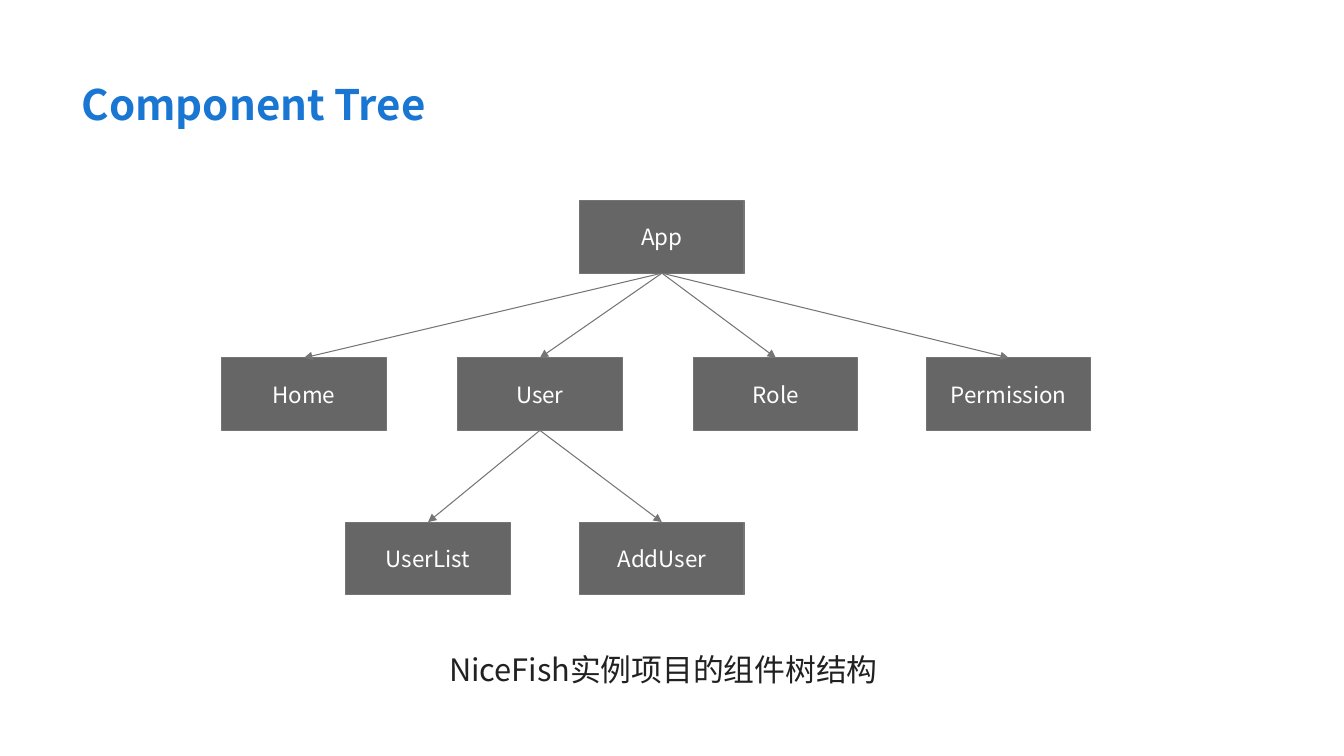
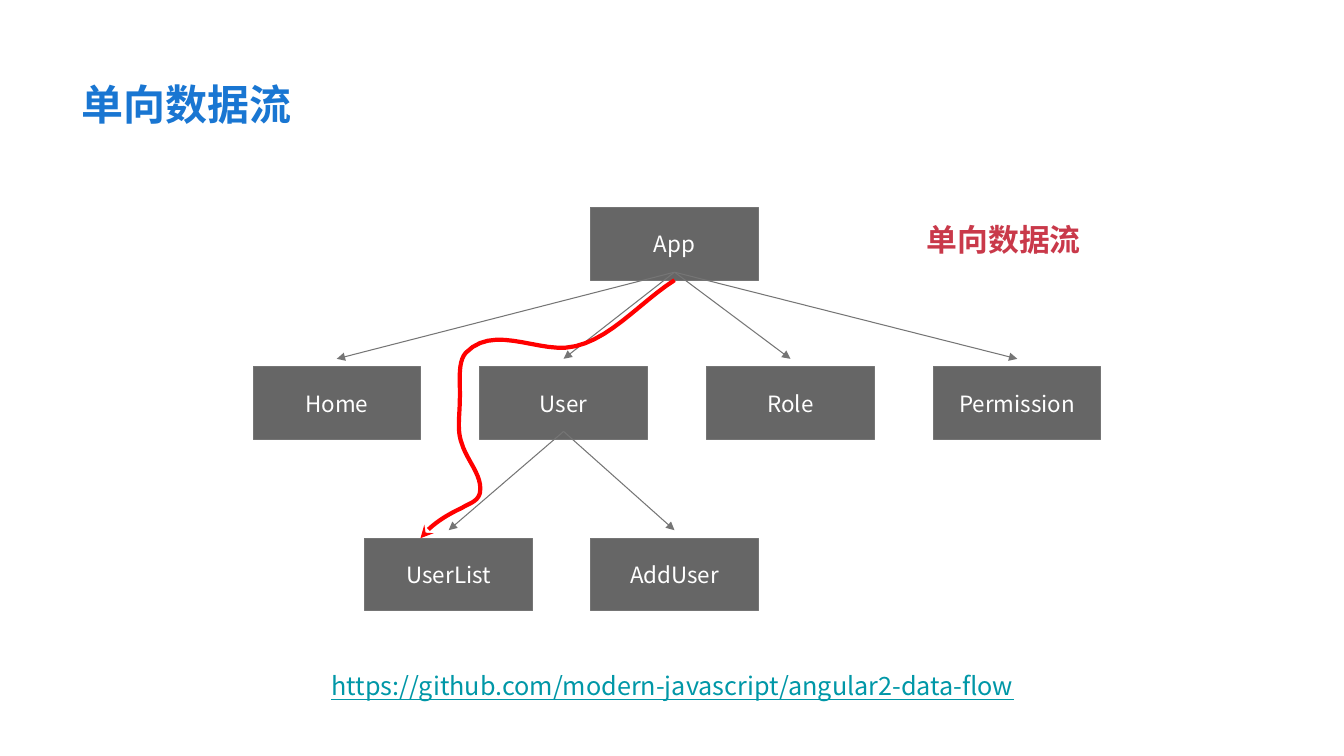
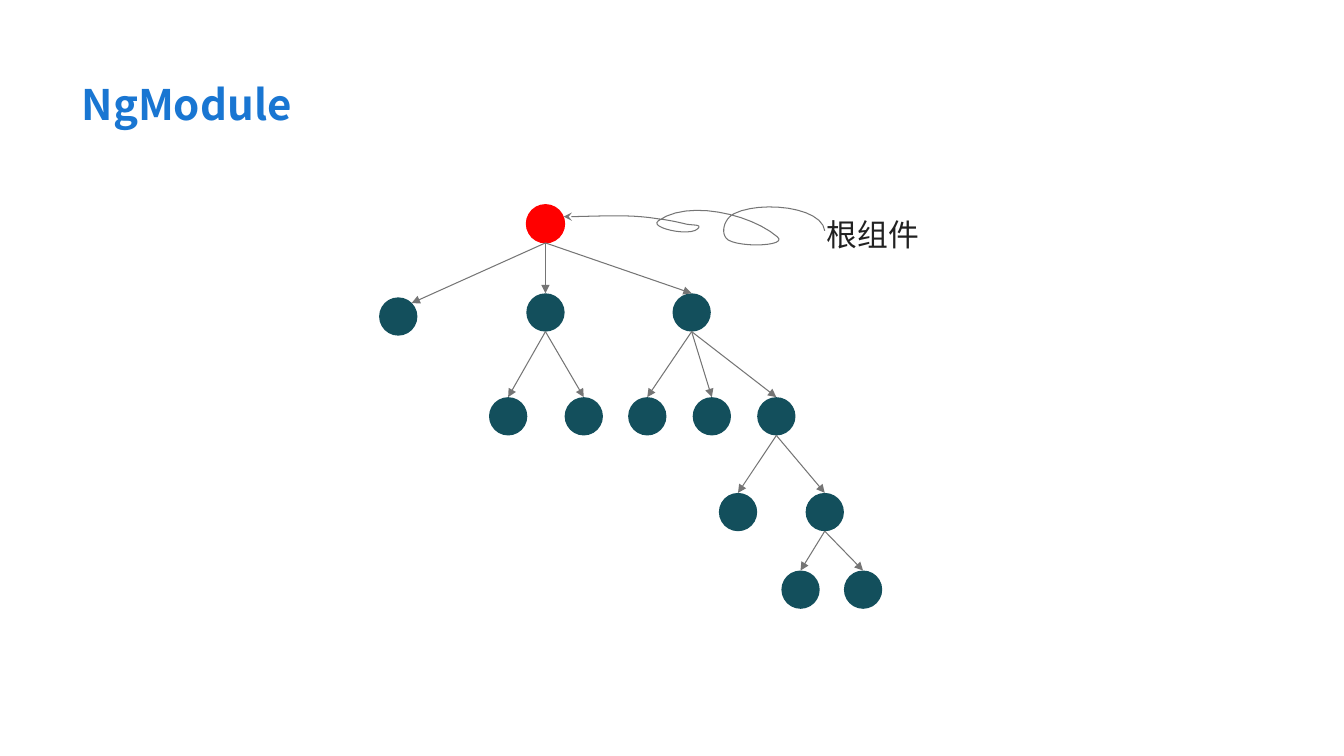
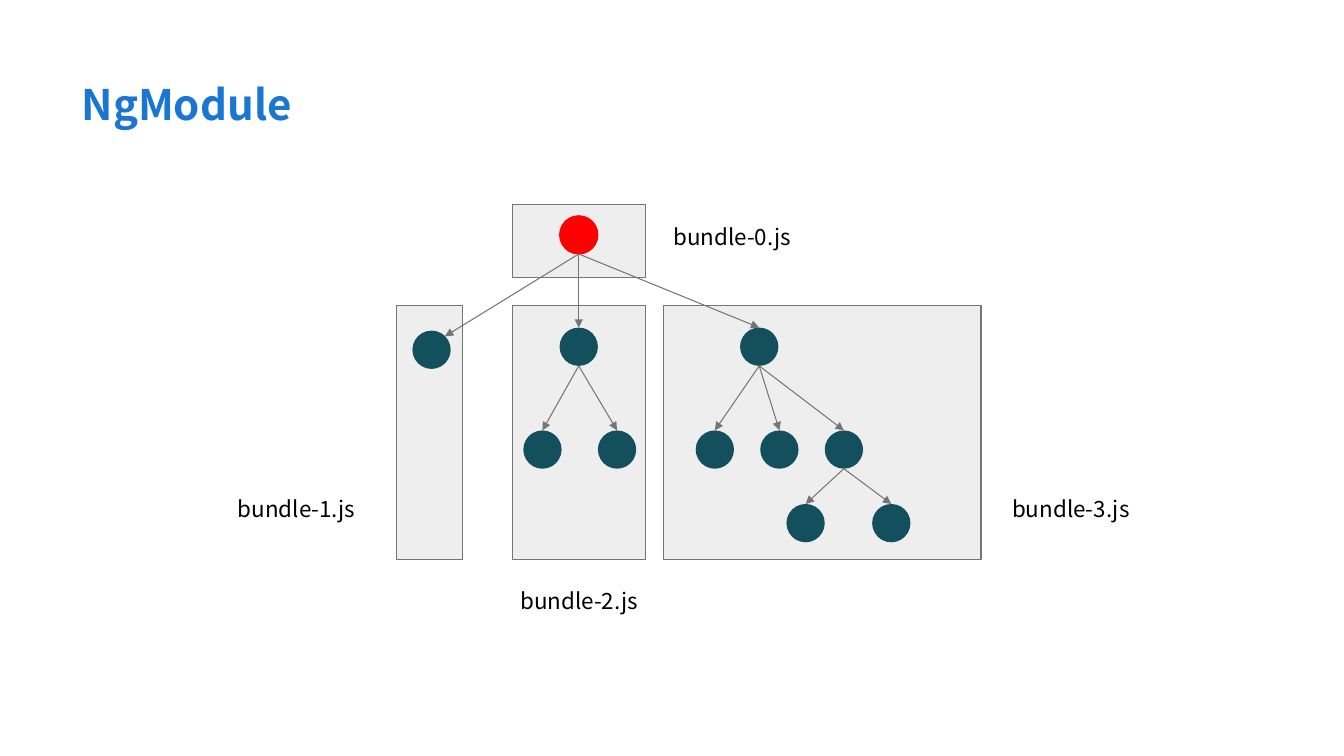
import lxml.etree
import pptx
import pptx.dml.color
import pptx.enum.shapes
import pptx.enum.text
import pptx.oxml.ns
import pptx.util

Inches = pptx.util.Inches
Pt = pptx.util.Pt
RGBColor = pptx.dml.color.RGBColor
SHAPE = pptx.enum.shapes.MSO_SHAPE
LINK = pptx.enum.shapes.MSO_CONNECTOR.STRAIGHT
ALIGN = pptx.enum.text.PP_ALIGN
ANCHOR = pptx.enum.text.MSO_ANCHOR
qn = pptx.oxml.ns.qn

FONT = "Noto Sans CJK SC"
WHITE = RGBColor(0xFF, 0xFF, 0xFF)
BLACK = RGBColor(0x00, 0x00, 0x00)
INK = RGBColor(0x21, 0x21, 0x21)
BLUE = RGBColor(0x19, 0x76, 0xD2)
GRAY = RGBColor(0x75, 0x75, 0x75)
DARK = RGBColor(0x66, 0x66, 0x66)
PALE = RGBColor(0xEE, 0xEE, 0xEE)
RED = RGBColor(0xFF, 0x00, 0x00)
ROSE = RGBColor(0xC9, 0x39, 0x4A)
TEAL = RGBColor(0x13, 0x4F, 0x5C)
CYAN = RGBColor(0x00, 0x97, 0xA7)

# Text formats: run font values
HEAD = {"size": Pt(30), "bold": True, "color": BLUE}
NODE = {"size": Pt(16), "color": WHITE}
NOTE = {"size": Pt(22), "color": INK}
FLOW = {"size": Pt(22), "bold": True, "color": ROSE}
URL = {"size": Pt(18), "underline": True, "color": CYAN}
FILE = {"size": Pt(16), "color": BLACK}

TITLE_BOX = (0.68, 0.15, 11.8, 1.26)
PAD = 0.13
HIGH = 0.72
DOT = 0.38
STEPS = 12

# Component trees: child -> parent, and left edges per row
PARENT = {"Home": "App", "User": "App", "Role": "App", "Permission": "App",
          "UserList": "User", "AddUser": "User"}
TREE = {
    1.99: {"App": 5.75},
    3.55: {"Home": 2.2, "User": 4.54, "Role": 6.88, "Permission": 9.19},
    5.18: {"UserList": 3.43, "AddUser": 5.75},
}
EVEN = {
    2.06: {"App": 5.86},
    3.64: {name: 2.51 + 2.25 * i for i, name in
           enumerate(("Home", "User", "Role", "Permission"))},
    5.34: {"UserList": 3.62, "AddUser": 5.86},
}

# Dots: centre x, top, index of the parent dot; the first is the root
DOTS = [
    (5.41, 2.03, None),
    (3.95, 2.95, 0), (5.41, 2.91, 0), (6.86, 2.91, 0),
    (5.04, 3.94, 2), (5.79, 3.94, 2),
    (6.42, 3.94, 3), (7.06, 3.94, 3), (7.7, 3.94, 3),
    (7.32, 4.89, 8), (8.18, 4.89, 8),
    (7.94, 5.66, 10), (8.56, 5.66, 10),
]
PACKED = [
    (5.74, 2.14, None),
    (4.28, 3.28, 0), (5.74, 3.25, 0), (7.53, 3.25, 0),
    (5.38, 4.27, 2), (6.12, 4.27, 2),
    (7.09, 4.27, 3), (7.73, 4.27, 3), (8.37, 4.27, 3),
    (7.99, 5, 8), (8.84, 5, 8),
]

# Curves: start, then two control points and an end for each piece
FALL = [
    (6.69, 2.78),
    (6.33, 3.01), (6.01, 3.42), (5.61, 3.45),
    (5.28, 3.47), (4.88, 3.23), (4.62, 3.5),
    (4.53, 3.6), (4.57, 3.82), (4.56, 3.98),
    (4.56, 4.12), (4.53, 4.27), (4.58, 4.4),
    (4.63, 4.57), (4.79, 4.72), (4.76, 4.89),
    (4.74, 4.98), (4.64, 5), (4.58, 5.04),
    (4.43, 5.11), (4.28, 5.2), (4.17, 5.34),
]
LOOP = [
    (8.18, 2.29),
    (8.15, 2.05), (7.54, 1.99), (7.28, 2.12),
    (7.18, 2.17), (7.14, 2.32), (7.22, 2.38),
    (7.35, 2.46), (7.82, 2.44), (7.71, 2.35),
    (7.44, 2.12), (6.82, 1.98), (6.53, 2.19),
    (6.43, 2.26), (6.84, 2.35), (6.92, 2.27),
    (6.97, 2.22), (6.86, 2.24), (6.79, 2.22),
    (6.71, 2.2), (6.61, 2.18), (6.52, 2.17),
    (6.22, 2.12), (5.9, 2.15), (5.59, 2.15),
]

BUNDLES = [(5.08, 2.03, 1.32, HIGH), (6.58, 3.03, 3.15, 2.52),
           (5.08, 3.03, 1.32, 2.52), (3.93, 3.03, 0.66, 2.52)]
FILES = [("bundle-0.js", 6.55, 2.08, ALIGN.LEFT),
         ("bundle-1.js", 2.23, 4.78, ALIGN.LEFT),
         ("bundle-2.js", 4.93, 5.7, ALIGN.CENTER),
         ("bundle-3.js", 9.91, 4.78, ALIGN.LEFT)]


def inch(values):
    return [Inches(v) for v in values]


def frame(text, anchor):
    """Set the padding, wrapping and anchor of a text frame."""
    look = {"word_wrap": True, "vertical_anchor": anchor}
    look.update({f"margin_{side}": Inches(PAD)
                 for side in ("left", "top", "right", "bottom")})
    for key, value in look.items():
        setattr(text, key, value)


def write(text, words, style, align):
    para = text.paragraphs[0]
    para.alignment = align
    run = para.add_run()
    run.text = words
    run.font.name = FONT
    for key, value in style.items():
        if key == "color":
            run.font.color.rgb = value
        else:
            setattr(run.font, key, value)
    lxml.etree.SubElement(run._r.get_or_add_rPr(), qn("a:ea"), typeface=FONT)
    return para


def label(slide, box, words, style, align=ALIGN.CENTER, anchor=ANCHOR.TOP):
    text = slide.shapes.add_textbox(*inch(box)).text_frame
    frame(text, anchor)
    return write(text, words, style, align)


def form(slide, kind, box, fill, edge=None):
    shape = slide.shapes.add_shape(kind, *inch(box))
    shape.shadow.inherit = False
    shape.fill.solid()
    shape.fill.fore_color.rgb = fill
    if edge is None:
        shape.line.fill.background()
    else:
        stroke(shape, edge)
    return shape


def stroke(shape, color, width=0.75, head=None):
    shape.line.color.rgb = color
    shape.line.width = Pt(width)
    if head:
        line = shape._element.spPr.find(qn("a:ln"))
        lxml.etree.SubElement(line, qn("a:tailEnd"), type=head)


def arrow(slide, start, end):
    link = slide.shapes.add_connector(LINK, *inch(start + end))
    stroke(link, GRAY, head="triangle")
    lxml.etree.SubElement(link._element.spPr, qn("a:effectLst"))
    return link


def curve(slide, points, color, width):
    """Draw an open run of cubic Bezier pieces with an arrowhead."""
    spots = []
    for i in range(0, len(points) - 1, 3):
        piece = points[i:i + 4]
        for step in range(1, STEPS + 1):
            t = step / STEPS
            parts = ((1 - t) ** 3, 3 * t * (1 - t) ** 2,
                     3 * t * t * (1 - t), t ** 3)
            spots.append(inch(sum(w * p[axis] for w, p in zip(parts, piece))
                              for axis in (0, 1)))
    pen = slide.shapes.build_freeform(*inch(points[0]))
    pen.add_line_segments(spots, close=False)
    shape = pen.convert_to_shape()
    shape.shadow.inherit = False
    shape.fill.background()
    stroke(shape, color, width, "stealth")


def boxes(slide, rows, wide, lift=0):
    """Draw a component tree; lift moves its arrows up, free of the boxes."""
    made, spots = {}, {}
    for top, row in rows.items():
        for name, left in row.items():
            box = form(slide, SHAPE.RECTANGLE, (left, top, wide, HIGH),
                       DARK, GRAY)
            frame(box.text_frame, ANCHOR.MIDDLE)
            write(box.text_frame, name, NODE, ALIGN.CENTER)
            made[name], spots[name] = box, (left + wide / 2, top - lift)
    for child, owner in PARENT.items():
        x, y = spots[owner]
        link = arrow(slide, (x, y + HIGH), spots[child])
        if not lift:
            link.begin_connect(made[owner], 2)
            link.end_connect(made[child], 0)


def dots(slide, nodes):
    for x, top, owner in nodes:
        root = owner is None
        form(slide, SHAPE.OVAL, (x - DOT / 2, top, DOT, DOT),
             RED if root else TEAL, RED if root else None)
    for i, (x, top, owner) in enumerate(nodes):
        if owner is None:
            continue
        end = (x, top)
        if i == 1:  # the far left dot is met at its upper right
            end = (x + 0.35 * DOT, top + 0.15 * DOT)
        start, high = nodes[owner][:2]
        arrow(slide, (start, high + DOT), end)


def tree(slide):
    boxes(slide, TREE, 1.63)
    para = label(slide, (0.68, 6.27, 11.8, HIGH),
                 "NiceFish实例项目的组件树结构", NOTE)
    para.line_spacing = 1.15


def flow(slide):
    boxes(slide, EVEN, 1.66, lift=0.08)
    label(slide, (8.83, 2.06, 2.25, HIGH), "单向数据流", FLOW)
    curve(slide, FALL, RED, 3)
    label(slide, (0.52, 6.37, 12.3, 0.86),
          "https://github.com/modern-javascript/angular2-data-flow",
          URL, anchor=ANCHOR.MIDDLE)


def root(slide):
    dots(slide, DOTS)
    curve(slide, LOOP, GRAY, 0.75)
    label(slide, (8.07, 2.01, 3.46, 0.7), "根组件", NOTE, ALIGN.LEFT)


def split(slide):
    for box in BUNDLES:
        form(slide, SHAPE.RECTANGLE, box, PALE, GRAY)
    dots(slide, PACKED)
    for words, left, top, align in FILES:
        label(slide, (left, top, 1.63, 0.53), words, FILE, align)


SLIDES = [("Component Tree", tree), ("单向数据流", flow),
          ("NgModule", root), ("NgModule", split)]


def main():
    deck = pptx.Presentation()
    deck.slide_width, deck.slide_height = inch((13.33, 7.5))
    layout = deck.slide_layouts.get_by_name("Title Only")
    title = layout.placeholders[0]
    for key, value in zip(("left", "top", "width", "height"), TITLE_BOX):
        setattr(title, key, Inches(value))
    frame(title.text_frame, ANCHOR.BOTTOM)
    for words, draw in SLIDES:
        slide = deck.slides.add_slide(layout)
        write(slide.shapes.title.text_frame, words, HEAD, ALIGN.LEFT)
        draw(slide)
    deck.save("out.pptx")


if __name__ == "__main__":
    main()
